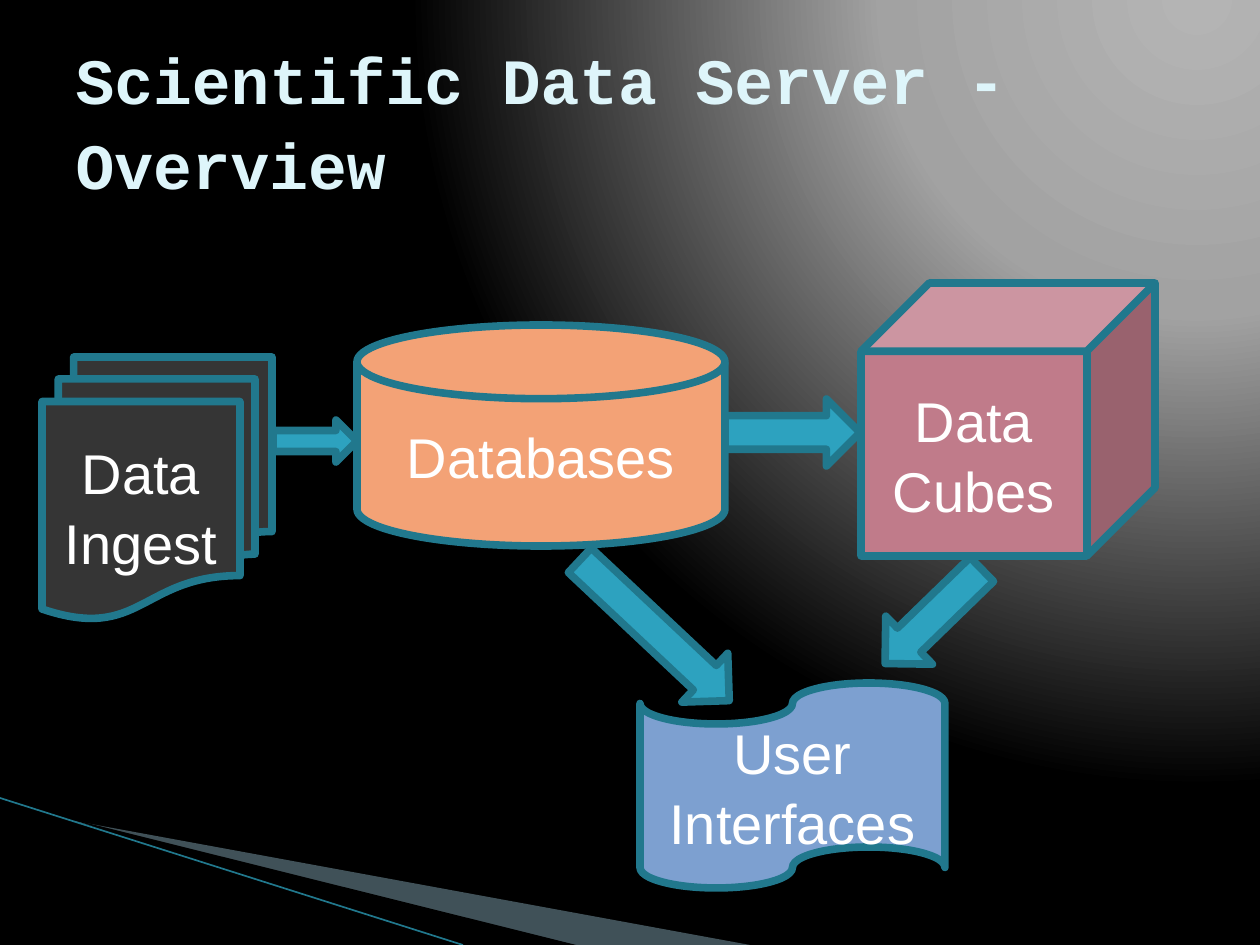
"""Build the Scientific Data Server overview slide."""
from dataclasses import dataclass

from lxml import etree
from pptx import Presentation
from pptx import util as u
from pptx.dml.color import RGBColor
from pptx.enum import shapes, text
from pptx.oxml.ns import qn

SCALE = u.Inches(1) / 126
TEAL = RGBColor(0x2D, 0xA2, 0xBF)
OUTLINE = RGBColor(0x21, 0x78, 0x8D)
ORANGE = RGBColor(0xF3, 0xA2, 0x76)
ROSE = RGBColor(0xC0, 0x7B, 0x8A)
BLUE = RGBColor(0x7D, 0xA0, 0xD0)
CHARCOAL = RGBColor(0x35, 0x35, 0x35)
ICE = RGBColor(0xDE, 0xF5, 0xFA)
MIST = RGBColor(0xA0, 0xCB, 0xDC)
WHITE = RGBColor(0xFF, 0xFF, 0xFF)
BLACK = RGBColor(0, 0, 0)
LIGHT_GREY = RGBColor(0xB4, 0xB4, 0xB4)
GREY = RGBColor(0xA2, 0xA2, 0xA2)
KIND = shapes.MSO_SHAPE


@dataclass(frozen=True)
class Block:
    """A diagram shape, placed in px, with an optional label."""
    kind: KIND
    box: tuple[int, int, int, int]
    fill: RGBColor = TEAL
    label: str = ""
    rotation: float = 0


BLOCKS = [
    Block(KIND.FLOWCHART_MAGNETIC_DISK, (357, 325, 368, 221), ORANGE, "Databases"),
    Block(KIND.CUBE, (861, 283, 294, 273), ROSE, "Data Cubes"),
    Block(KIND.RIGHT_ARROW, (725, 399, 135, 67)),
    Block(KIND.FLOWCHART_PUNCHED_TAPE, (640, 683, 305, 205), BLUE, "User Interfaces"),
    Block(KIND.RIGHT_ARROW, (552, 597, 205, 67), rotation=43.2),
    Block(KIND.DOWN_ARROW, (900, 549, 67, 135), rotation=45.8),
    Block(KIND.FLOWCHART_MULTIDOCUMENT, (42, 357, 230, 262), CHARCOAL, "Data Ingest"),
    Block(KIND.RIGHT_ARROW, (273, 420, 84, 42)),
]


def px(*values: int) -> list[u.Emu]:
    """Turn px lengths into EMU."""
    return [u.Emu(round(v * SCALE)) for v in values]


def paint_background(slide) -> None:
    """Fill the background with a glow from the upper right."""
    fill = slide.background.fill
    fill.gradient()
    grad = slide.background._cSld.find(f".//{qn('a:gradFill')}")
    for child in list(grad):
        grad.remove(child)
    stops = etree.SubElement(grad, qn("a:gsLst"))
    for pos, color in ((0, LIGHT_GREY), (40, GREY), (100, BLACK)):
        gs = etree.SubElement(stops, qn("a:gs"), pos=str(pos * 1000))
        etree.SubElement(gs, qn("a:srgbClr"), val=str(color))
    glow = etree.SubElement(grad, qn("a:path"), path="circle")
    etree.SubElement(glow, qn("a:fillToRect"), l="95000", t="-106000", r="5000", b="206000")


def add_wedge(slide, points: list[tuple[int, int]], color: RGBColor, alpha: int = 100) -> None:
    """Draw a closed wedge, see-through when alpha is below 100."""
    builder = slide.shapes.build_freeform(*points[0], scale=SCALE)
    builder.add_line_segments(points[1:])
    sp = builder.convert_to_shape()
    sp.shadow.inherit = False
    sp.fill.solid()
    sp.fill.fore_color.rgb = color
    sp.line.fill.background()
    if alpha < 100:
        clr = sp._element.spPr.find(f"{qn('a:solidFill')}/{qn('a:srgbClr')}")
        etree.SubElement(clr, qn("a:alpha"), val=str(alpha * 1000))


def add_edge(slide) -> None:
    """Draw the thin line across the lower left corner."""
    line = slide.shapes.add_connector(shapes.MSO_CONNECTOR.STRAIGHT, *px(0, 798, 463, 945))
    line.line.color.rgb = OUTLINE
    line.line.width = u.Pt(0.95)
    etree.SubElement(line._element.spPr, qn("a:effectLst"))


def set_title(slide, title: str) -> None:
    """Place and format the title placeholder."""
    sp = slide.shapes.title
    sp.left, sp.top, sp.width, sp.height = px(63, 38, 1134, 158)
    tf = sp.text_frame
    tf.text = title
    tf.vertical_anchor = text.MSO_ANCHOR.MIDDLE
    tf.auto_size = text.MSO_AUTO_SIZE.NONE
    p = tf.paragraphs[0]
    p.alignment = text.PP_ALIGN.LEFT
    p.line_spacing = 1.1
    font = p.runs[0].font
    font.name, font.size, font.bold = "Courier New", u.Pt(36.9), True
    font.color.rgb = ICE


def add_block(slide, block: Block) -> None:
    """Draw one diagram shape and its label."""
    sp = slide.shapes.add_shape(block.kind, *px(*block.box))
    sp.rotation = block.rotation
    sp.shadow.inherit = False
    sp.fill.solid()
    sp.fill.fore_color.rgb = block.fill
    sp.line.color.rgb = OUTLINE
    sp.line.width = u.Pt(4.33)
    if block.label:
        tf = sp.text_frame
        tf.text = block.label
        tf.word_wrap = True
        tf.vertical_anchor = text.MSO_ANCHOR.MIDDLE
        p = tf.paragraphs[0]
        p.alignment = text.PP_ALIGN.CENTER
        p.line_spacing = 1.05
        font = p.runs[0].font
        font.name, font.size = "Arial", u.Pt(32)
        font.color.rgb = WHITE


def main() -> None:
    """Build and save the slide."""
    prs = Presentation()
    prs.slide_width, prs.slide_height = px(1260, 945)
    slide = prs.slides.add_slide(prs.slide_layouts[5])
    paint_background(slide)
    add_wedge(slide, [(69, 820), (750, 945), (575, 945)], MIST, 40)
    add_wedge(slide, [(67, 818), (576, 945), (469, 945)], BLACK)
    add_edge(slide)
    set_title(slide, "Scientific Data Server - Overview")
    for block in BLOCKS:
        add_block(slide, block)
    prs.save("out.pptx")


if __name__ == "__main__":
    main()
